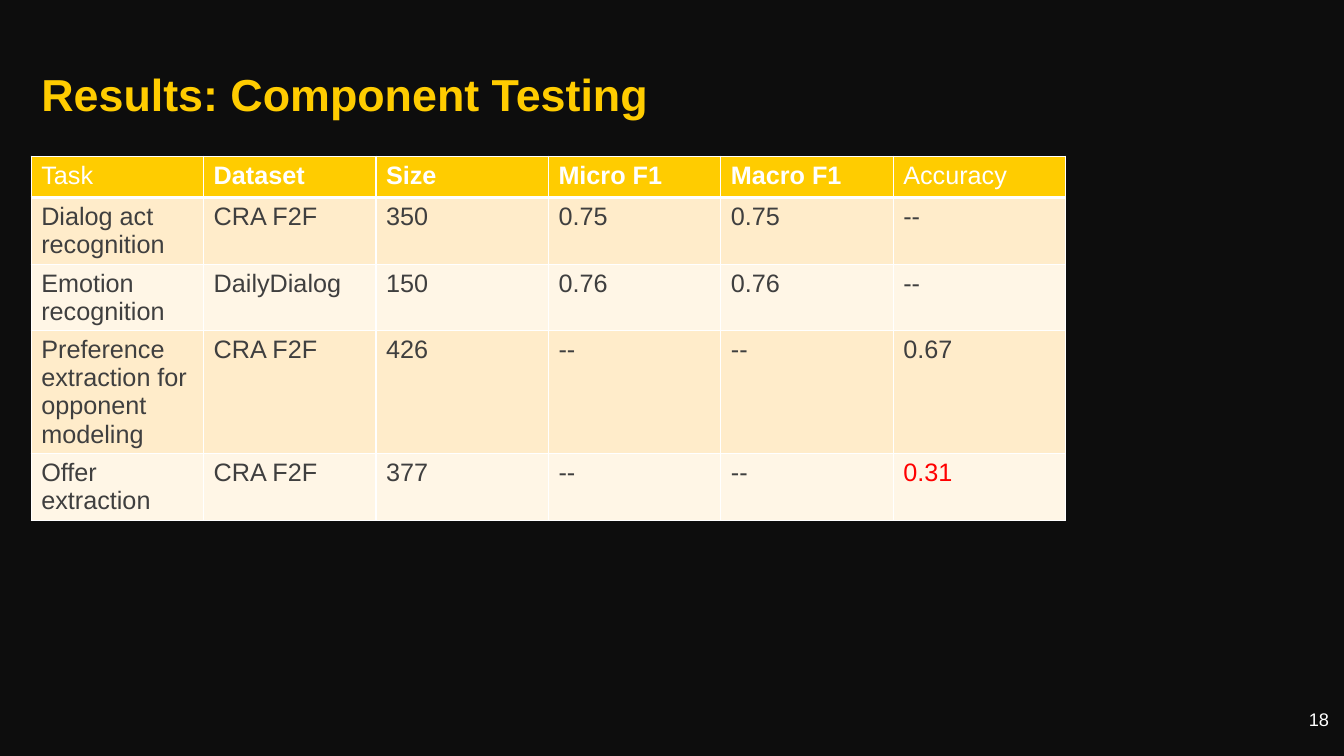
from dataclasses import dataclass

from lxml.etree import SubElement as Sub
from pptx import Presentation
from pptx.dml.color import RGBColor as RGB
from pptx.enum.text import MSO_ANCHOR as Anchor, PP_ALIGN as Align
from pptx.oxml.ns import qn
from pptx.util import Inches as In, Pt


@dataclass(frozen=True)
class Theme:
    font: str = "Arial"
    back: str = "0D0D0D"
    gold: str = "FFCC00"
    white: str = "FFFFFF"
    ink: str = "3F3F3F"
    red: str = "FF0000"
    bands: tuple = ("FFECCA", "FFF6E6")
    head: int = 32
    body: int = 18
    small: int = 13


T = Theme()
WIDE, HIGH = 13.33, 7.5
LEFT, TOP = 0.31, 1.55
COL, LINE, PAD = 1.71, 0.28, 0.1

HEADS = (("Task", False), ("Dataset", True), ("Size", True),
         ("Micro F1", True), ("Macro F1", True), ("Accuracy", False))
# Each row: its number of text lines, then its cells
ROWS = (
    (2, ("Dialog act recognition", "CRA F2F", "350", "0.75", "0.75", "--")),
    (2, ("Emotion recognition", "DailyDialog", "150", "0.76", "0.76", "--")),
    (4, ("Preference extraction for opponent modeling", "CRA F2F", "426",
         "--", "--", "0.67")),
    (2, ("Offer extraction", "CRA F2F", "377", "--", "--", "0.31")),
)
LOW = "0.31"


def write(frame, text, size, color, bold=False, align=Align.LEFT):
    para = frame.paragraphs[0]
    para.alignment = align
    run = para.add_run()
    run.text = text
    font = run.font
    font.name, font.size, font.bold = T.font, Pt(size), bold
    font.color.rgb = RGB.from_string(color)


def edge(cell, base):
    """Draw white cell borders, the bottom one base points wide."""
    props = cell._tc.get_or_add_tcPr()
    for at, (side, width) in enumerate(zip("LRTB", (1, 1, 1, base))):
        line = Sub(props, qn(f"a:ln{side}"), w=str(Pt(width)))
        fill = Sub(line, qn("a:solidFill"))
        Sub(fill, qn("a:srgbClr"), val=T.white)
        props.insert(at, line)


def paint(cell, text, fill, color, bold=False, base=1):
    cell.fill.solid()
    cell.fill.fore_color.rgb = RGB.from_string(fill)
    edge(cell, base)
    write(cell.text_frame, text, T.body, color, bold)


def title(slide, box, text):
    shape = slide.shapes.title
    shape.left, shape.top, shape.width, shape.height = map(In, box)
    shape.text_frame.vertical_anchor = Anchor.MIDDLE
    write(shape.text_frame, text, T.head, T.gold, True)


def scores(slide, left, top):
    tall = [0.41] + [PAD + lines * LINE for lines, _ in ROWS]
    table = slide.shapes.add_table(
        len(tall), len(HEADS), In(left), In(top),
        In(COL * len(HEADS)), In(sum(tall))).table
    for col in table.columns:
        col.width = In(COL)
    for row, high in zip(table.rows, tall):
        row.height = In(high)
    for c, (text, bold) in enumerate(HEADS):
        paint(table.cell(0, c), text, T.gold, T.white, bold, 3)
    for r, (_, cells) in enumerate(ROWS):
        for c, text in enumerate(cells):
            color = T.red if text == LOW else T.ink
            paint(table.cell(r + 1, c), text, T.bands[r % 2], color)


def number(slide, box, text):
    frame = slide.shapes.add_textbox(*map(In, box)).text_frame
    frame.word_wrap = True
    frame.margin_top = frame.margin_bottom = In(PAD)
    write(frame, text, T.small, T.white, align=Align.RIGHT)


def main():
    deck = Presentation()
    deck.slide_width, deck.slide_height = In(WIDE), In(HIGH)
    slide = deck.slides.add_slide(deck.slide_layouts[5])
    back = slide.background.fill
    back.solid()
    back.fore_color.rgb = RGB.from_string(T.back)
    title(slide, (LEFT, 0.3, 12, 1.25), "Results: Component Testing")
    scores(slide, LEFT, TOP)
    number(slide, (12.48, 6.93, 0.8, 0.57), "18")
    deck.save("out.pptx")


if __name__ == "__main__":
    main()
